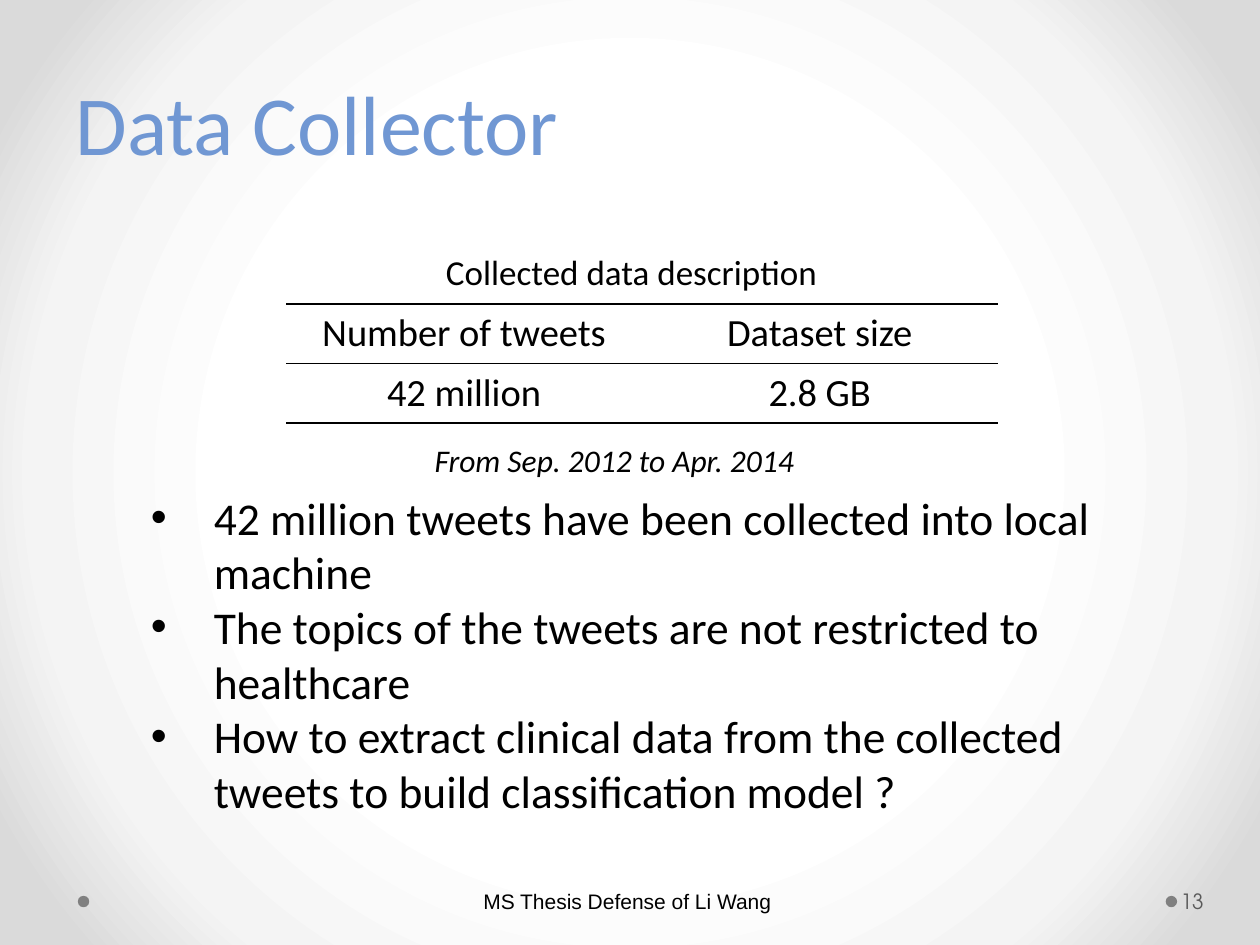
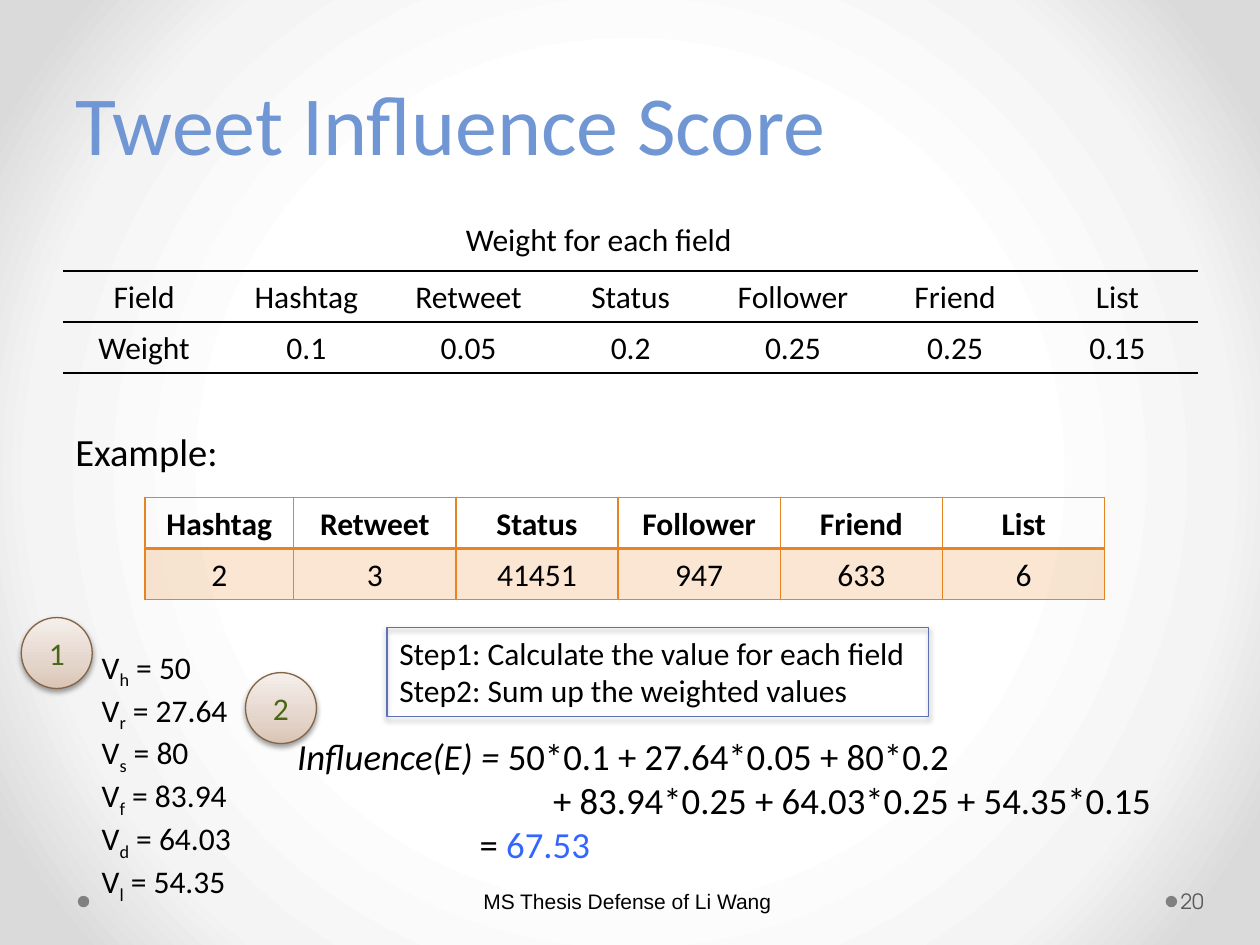
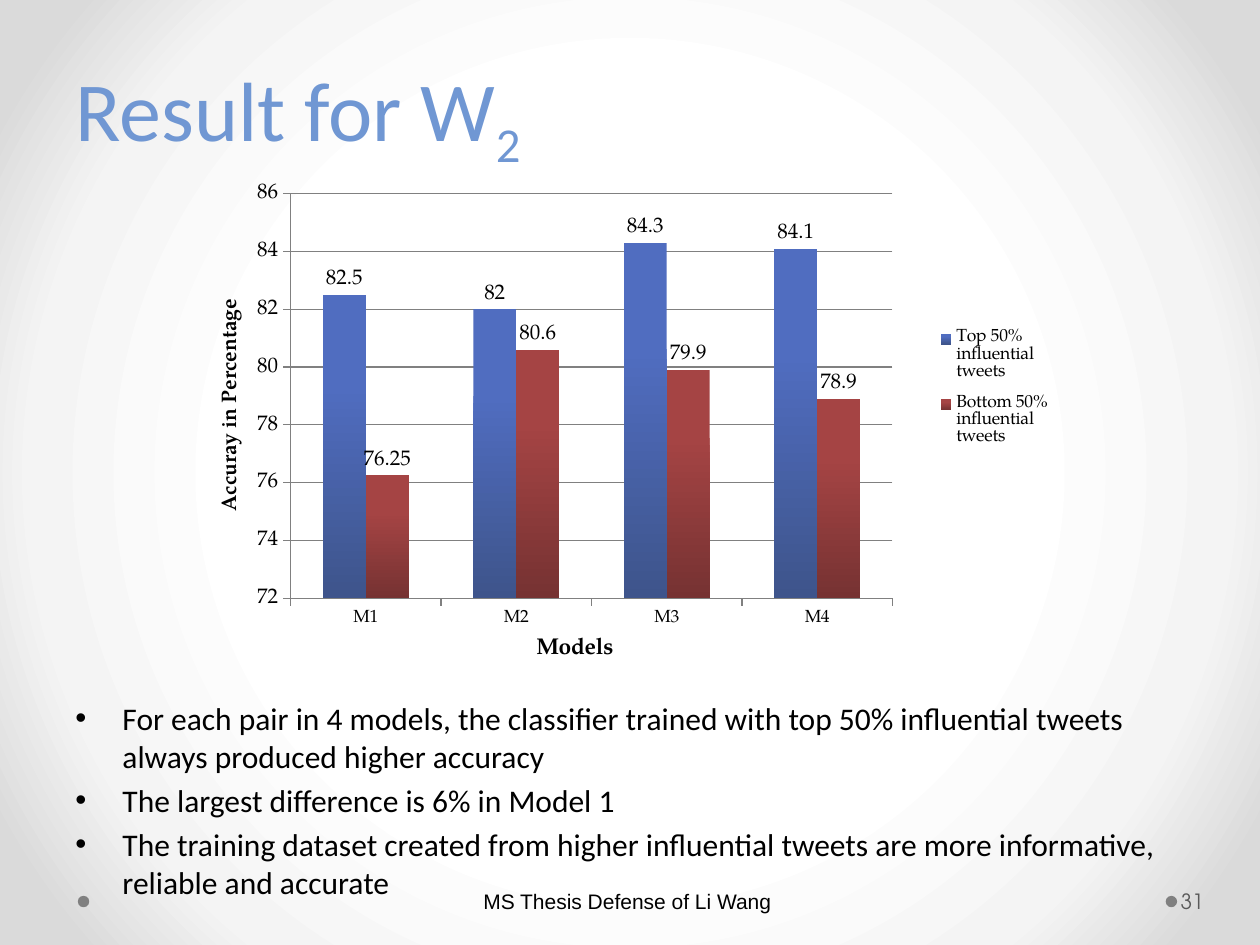
from lxml import etree
from pptx import Presentation
from pptx import util as u
from pptx.chart.data import CategoryChartData
from pptx.dml.color import RGBColor
from pptx.enum import chart as ch, shapes, text
from pptx.oxml import parse_xml
from pptx.oxml.ns import nsdecls, qn

# Shared look
BLACK, WHITE, BLUE, GREY = "000000", "FFFFFF", "7097D3", "808080"
ORANGE, BROWN, GREEN = "E68422", "836445", "4A6717"
SANS, SERIF = "Calibri", "TeX Gyre Pagella"
BACK = [(50, WHITE), (76, "F4F4F4"), (92, "DADADA")]
DISC = [(0, "DAC4B4"), (35, "E4D5CB"), (100, "F5EFEB")]
FOOT = "MS Thesis Defense of Li Wang"
MID = text.MSO_ANCHOR.MIDDLE
CENTER = text.PP_ALIGN.CENTER

# Content: a run is its text, or (text, marks); i = italic, _ = subscript
FACTS = [("Number of tweets", "Dataset size"), ("42 million", "2.8 GB")]
POINTS = [
    "42 million tweets have been collected into local machine",
    "The topics of the tweets are not restricted to healthcare",
    "How to extract clinical data from the collected tweets to build classification model ?",
]
FIELDS = ("Hashtag", "Retweet", "Status", "Follower", "Friend", "List")
WEIGHTS = [("Field", *FIELDS),
           ("Weight", "0.1", "0.05", "0.2", "0.25", "0.25", "0.15")]
SAMPLE = [FIELDS, ("2", "3", "41451", "947", "633", "6")]
VALUES = {"h": "50", "r": "27.64", "s": "80", "f": "83.94", "d": "64.03", "l": "54.35"}
SUM = [
    [("Influence(E) = ", "i"), "50*0.1 + 27.64*0.05 + 80*0.2"],
    ["+ 83.94*0.25 + 64.03*0.25 + 54.35*0.15"],
    ["= ", ("67.53", "3366FF")],
]
STEPS = ["Step1: Calculate the value for each field",
         "Step2: Sum up the weighted values"]
MARKS = [("1", 0.43, 12.45), ("2", 4.95, 13.56)]
MODELS = ("M1", "M2", "M3", "M4")
SERIES = [
    ("Top 50% influential tweets", (82.5, 82, 84.3, 84.1), ("506DC0", "3E548B")),
    ("Bottom 50% influential tweets", (76.25, 80.6, 79.9, 78.9), ("A54444", "763232")),
]
RESULTS = [
    "For each pair in 4 models, the classifier trained with top 50% influential tweets "
    "always produced higher accuracy",
    "The largest difference is 6% in Model 1",
    "The training dataset created from higher influential tweets are more informative, "
    "reliable and accurate",
]


# Helpers
def rgb(code):
    return RGBColor.from_string(code)


def cms(*sizes):
    return [u.Cm(size) for size in sizes]


def blend(props, stops, way):
    """Swap the solid fill inside props for a gradient."""
    marks = "".join(f'<a:gs pos="{pos * 1000}"><a:srgbClr val="{code}"/></a:gs>'
                    for pos, code in stops)
    grad = parse_xml(f'<a:gradFill {nsdecls("a")} rotWithShape="1">'
                     f"<a:gsLst>{marks}</a:gsLst>{way}</a:gradFill>")
    props.replace(props.find(qn("a:solidFill")), grad)


def slope(turn):
    return f'<a:lin ang="{turn * 60000}" scaled="0"/>'


def shade(shape, alpha, dist):
    shape._element.spPr.append(parse_xml(
        f'<a:effectLst {nsdecls("a")}><a:outerShdw blurRad="{u.Pt(3.1)}" '
        f'dist="{u.Pt(dist)}" dir="5400000" rotWithShape="0"><a:srgbClr val="{BLACK}">'
        f'<a:alpha val="{alpha * 1000}"/></a:srgbClr></a:outerShdw></a:effectLst>'))


def style(font, size, code=BLACK, name=SANS, bold=None):
    font.size, font.name, font.bold = u.Pt(size), name, bold
    font.color.rgb = rgb(code)


def add_runs(para, runs, size, code=BLACK, name=SANS, bold=None):
    for item in runs:
        word, mark = (item, "") if isinstance(item, str) else item
        run = para.add_run()
        run.text = word
        style(run.font, size, mark if len(mark) == 6 else code, name, bold)
        if mark == "i":
            run.font.italic = True
        if mark == "_":
            run.font._element.set("baseline", "-25000")


def write(frame, lines, size, align=None, hang=0, gap=0, **look):
    frame.word_wrap = True
    for i, line in enumerate(lines):
        para = frame.paragraphs[0] if i == 0 else frame.add_paragraph()
        if hang:
            props = para._element.get_or_add_pPr()
            props.set("marL", str(u.Cm(hang)))
            props.set("indent", str(-u.Cm(hang)))
            etree.SubElement(props, qn("a:buFont")).set("typeface", "Arial")
            etree.SubElement(props, qn("a:buChar")).set("char", "•")
        if align is not None:
            para.alignment = align
        if gap and i:
            para.space_before = u.Pt(gap)
        add_runs(para, [line] if isinstance(line, str) else line, size, **look)


def add_box(slide, place, lines, size, **look):
    frame = slide.shapes.add_textbox(*cms(*place)).text_frame
    write(frame, lines, size, **look)
    return frame


def add_form(slide, kind, place, fill=None, line=None):
    form = slide.shapes.add_shape(kind, *cms(*place))
    if fill:
        form.fill.solid()
        form.fill.fore_color.rgb = rgb(fill)
    else:
        form.fill.background()
    if line:
        form.line.color.rgb = rgb(line)
        form.line.width = u.Pt(0.75)
    else:
        form.line.fill.background()
    return form


def edge(cell, sides):
    """Draw the sides given as {side: (colour, points)}; clear the others."""
    props = cell._tc.get_or_add_tcPr()
    for i, side in enumerate("LRTB"):
        code, wide = sides.get(side, (None, 0))
        fill = f'<a:solidFill><a:srgbClr val="{code}"/></a:solidFill>' if code else "<a:noFill/>"
        props.insert(i, parse_xml(
            f'<a:ln{side} {nsdecls("a")} w="{u.Pt(wide)}">{fill}</a:ln{side}>'))


def add_grid(slide, left, top, widths, high, rows, size, tight=False, boxed=False):
    frame = slide.shapes.add_table(len(rows), len(widths),
                                   *cms(left, top, sum(widths), high * len(rows)))
    table = frame.table
    table.first_row = table.horz_banding = False
    for col, wide in zip(table.columns, widths):
        col.width = u.Cm(wide)
    for r, words in enumerate(rows):
        table.rows[r].height = u.Cm(high)
        for c, word in enumerate(words):
            cell = table.cell(r, c)
            if tight:
                cell.margin_left = cell.margin_right = u.Cm(0.18)
                cell.margin_top = cell.margin_bottom = 0
            para = cell.text_frame.paragraphs[0]
            para.alignment = CENTER
            if tight:
                para.line_spacing = 1.2
            add_runs(para, [word], size, bold=boxed and r == 0)
            if boxed and r:
                cell.fill.solid()
                cell.fill.fore_color.rgb = rgb(ORANGE)
                tint = cell._tc.tcPr.find(".//" + qn("a:srgbClr"))
                etree.SubElement(tint, qn("a:alpha")).set("val", "20000")
            else:
                cell.fill.background()
            if boxed:
                sides = dict.fromkeys("LRTB", (ORANGE, 1))
                sides["T" if r else "B"] = (ORANGE, 2)
            else:
                sides = dict.fromkeys("TB", (BLACK, 1))
            edge(cell, sides)


def start(deck, title, number):
    """Add a slide with its dots, title, footer and number."""
    slide = deck.slides.add_slide(deck.slide_layouts[6])
    for left in (23.5, 1.57):
        dot = add_form(slide, shapes.MSO_SHAPE.OVAL, (left, 18.06, 0.23, 0.23), GREY)
        dot.shadow.inherit = False
    head = add_box(slide, (1.27, 0.76, 22.86, 2.84), [title], 48, code=BLUE)
    head.vertical_anchor = text.MSO_ANCHOR.BOTTOM
    head.paragraphs[0].line_spacing = u.Pt(58)
    foot = add_box(slide, (8.76, 17.65, 7.9, 1.02), [FOOT], 12, align=CENTER, name="Arial")
    page = add_box(slide, (23.72, 17.65, 1.55, 1.02), [number], 12,
                   code="595959", name="TeX Gyre Adventor")
    for frame, left, right in ((foot, 0.13, 0.25), (page, 0.08, 0.13)):
        frame.vertical_anchor = MID
        frame.margin_left, frame.margin_right = cms(left, right)
    return slide


# Slides
def data_slide(deck):
    slide = start(deck, "Data Collector", "13")
    add_grid(slide, 5.77, 6.13, [7.17] * 2, 1.2, FACTS, 22)
    add_box(slide, (8.74, 4.93, 8.08, 1.12), ["Collected data description"], 20)
    add_box(slide, (2.79, 9.75, 19.69, 6.93), POINTS, 26, hang=1.27)
    add_box(slide, (8.51, 8.76, 8, 1.02), [[("From Sep. 2012 to Apr. 2014", "i")]], 18)


def score_slide(deck):
    slide = start(deck, "Tweet Influence Score", "20")
    wide, high = 3.27, 1.03
    add_box(slide, (9.14, 4.32, 5.97, 1.02), ["Weight for each field"], 18)
    add_grid(slide, 1.27, 5.46, [wide] * 7, high, WEIGHTS, 18, tight=True)
    add_box(slide, (1.27, 8.51, 3.43, 1.19), ["Example:"], 22)
    add_grid(slide, 2.92, 10.03, [3] + [wide] * 5, high, SAMPLE, 18, tight=True, boxed=True)

    # Field values and their weighted sum
    lines = [["V", (key, "_"), f" = {val}"] for key, val in VALUES.items()]
    add_box(slide, (1.8, 12.93, 3.48, 4.88), lines, 18)
    total = add_box(slide, (5.74, 14.66, 18.42, 2.95), SUM, 21)
    for para, left in zip(total.paragraphs[1:], (5.16, 3.68)):
        para._element.get_or_add_pPr().set("marL", str(u.Cm(left)))

    # Steps and numbered discs
    add_box(slide, (7.8, 12.65, 11.66, 1.8), STEPS, 18)
    for word, left, top in MARKS:
        disc = add_form(slide, shapes.MSO_SHAPE.OVAL, (left, top, 1.43, 1.43), WHITE, BROWN)
        blend(disc._element.spPr, DISC, slope(270))
        shade(disc, 38, 1.6)
        write(disc.text_frame, [word], 18, align=CENTER, code=GREEN)
        disc.text_frame.vertical_anchor = MID
    rim = add_form(slide, shapes.MSO_SHAPE.RECTANGLE, (7.8, 12.65, 10.92, 1.8), line="5C72B2")
    shade(rim, 35, 1.8)


def lay_out(parent, index, sizes, inner=False):
    """Fix a chart part at x, y, w, h as shares of the chart."""
    for old in parent.findall(qn("c:layout")):
        parent.remove(old)
    target = '<c:layoutTarget val="inner"/>' if inner else ""
    modes = '<c:xMode val="edge"/><c:yMode val="edge"/>'
    parts = "".join(f'<c:{key} val="{size}"/>' for key, size in zip("xywh", sizes))
    parent.insert(index, parse_xml(
        f'<c:layout {nsdecls("c")}><c:manualLayout>{target}{modes}{parts}'
        "</c:manualLayout></c:layout>"))


def result_slide(deck):
    slide = start(deck, ["Result for W", ("2", "_")], "31")
    add_box(slide, (1.27, 13.97, 22.86, 4.04), RESULTS, 18, hang=0.95, gap=3.6)

    data = CategoryChartData()
    data.categories = MODELS
    for name, vals, _ in SERIES:
        data.add_series(name, vals)
    chart = slide.shapes.add_chart(ch.XL_CHART_TYPE.COLUMN_CLUSTERED,
                                   *cms(4.32, 3.61, 17.09, 9.83), data).chart
    style(chart.font, 10, name=SERIF)
    chart.has_title = False
    chart.has_legend = True
    chart.legend.position = ch.XL_LEGEND_POSITION.RIGHT
    chart.legend.include_in_layout = False
    lay_out(chart.legend._element, 1, (0.84, 0.28, 0.16, 0.3))
    lay_out(chart._chartSpace.chart.plotArea, 0, (0.09, 0.03, 0.71, 0.83), inner=True)

    # Axes
    cat, val = chart.category_axis, chart.value_axis
    val.minimum_scale, val.maximum_scale, val.major_unit = 72, 86, 2
    val.has_major_gridlines = True
    val.major_gridlines.format.line.color.rgb = rgb(GREY)
    for axis, word, big, size in ((cat, "Models", 13, 10),
                                  (val, "Accuray in Percentage", 12, 12)):
        add_runs(axis.axis_title.text_frame.paragraphs[0], [word], big, name=SERIF, bold=True)
        style(axis.tick_labels.font, size, name=SERIF)
        axis.major_tick_mark = ch.XL_TICK_MARK.OUTSIDE
        axis.format.line.color.rgb = rgb(GREY)

    # Columns
    plot = chart.plots[0]
    plot.gap_width, plot.overlap, plot.vary_by_categories = 150, 0, False
    for bar, (_, _, (top, low)) in zip(plot.series, SERIES):
        bar.format.fill.solid()
        bar.format.fill.fore_color.rgb = rgb(top)
        blend(bar._element.find(qn("c:spPr")), [(0, top), (30, top), (100, low)], slope(90))
        tags = bar.data_labels
        tags.show_value = True
        tags.position = ch.XL_LABEL_POSITION.OUTSIDE_END
        style(tags.font, 12, name=SERIF)


def main():
    deck = Presentation()
    deck.slide_width, deck.slide_height = cms(25.4, 19.05)
    master = deck.slide_master
    master.background.fill.solid()
    master.background.fill.fore_color.rgb = rgb(WHITE)
    blend(master._element.find(".//" + qn("p:bgPr")), BACK,
          '<a:path path="circle"><a:fillToRect l="50000" t="50000" r="50000" b="50000"/></a:path>')
    for build in (data_slide, score_slide, result_slide):
        build(deck)
    deck.save("out.pptx")


if __name__ == "__main__":
    main()
